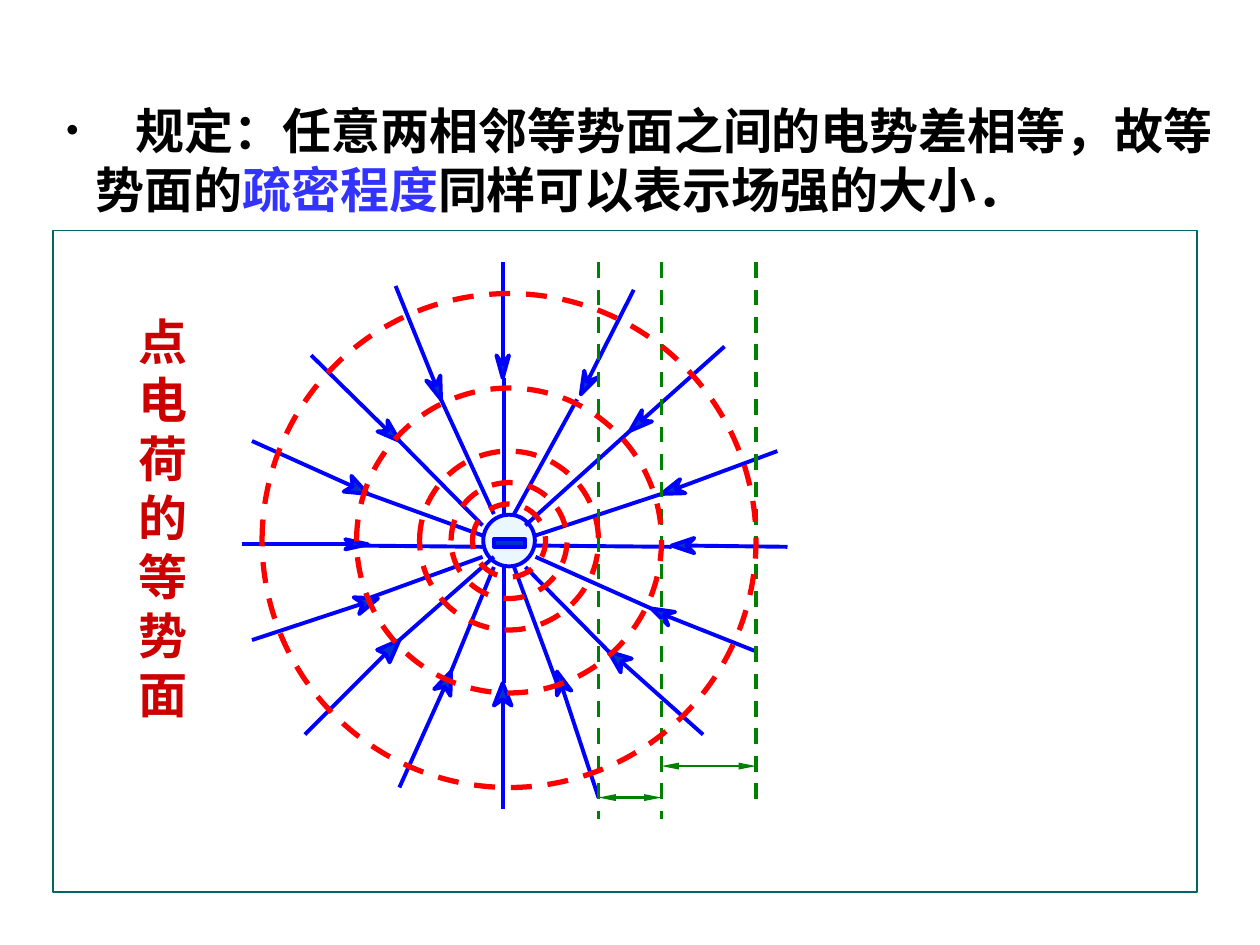
from dataclasses import dataclass
from math import hypot

from lxml.etree import SubElement
from pptx import Presentation
from pptx.dml.color import RGBColor
from pptx.enum.dml import MSO_LINE
from pptx.enum.shapes import MSO_CONNECTOR, MSO_SHAPE
from pptx.oxml.ns import qn
from pptx.util import Cm, Length, Pt

WHITE = RGBColor(255, 255, 255)
BLACK = RGBColor(0, 0, 0)
TEAL = RGBColor(0, 0x66, 0x66)
BLUE = RGBColor(0, 0, 255)
NAVY = RGBColor(0, 0x33, 0xCC)
PALE = RGBColor(0xEB, 0xF7, 0xFF)
GREEN = RGBColor(0, 0x80, 0)
RED = RGBColor(255, 0, 0)
DARK = RGBColor(0xCC, 0, 0)
VIOLET = RGBColor(0x33, 0x33, 0xFF)
HAN = "Noto Sans CJK SC"

Point = tuple[float, float]


@dataclass
class Ray:
    """A field line: tail to notch, arrowhead at tip, then root to core."""
    tail: Point
    notch: Point
    tip: Point
    root: Point
    core: Point
    half: float = 0.07


# Clockwise from the west, in inches
RAYS = [
    Ray((1.92, 4.32), (2.79, 4.32), (2.92, 4.32), (2.83, 4.33), (3.83, 4.34), 0.04),
    Ray((2, 3.5), (2.8, 3.86), (2.92, 3.92), (2.92, 3.92), (3.83, 4.25)),
    Ray((2.47, 2.82), (3.08, 3.42), (3.17, 3.5), (3.17, 3.5), (3.83, 4.17), 0.06),
    Ray((3.14, 2.27), (3.46, 3.06), (3.5, 3.17), (3.5, 3.17), (3.92, 4.08), 0.06),
    Ray((3.99, 2.08), (3.99, 2.89), (3.99, 3), (4, 3), (4, 4.08), 0.05),
    Ray((5.03, 2.3), (4.66, 3.03), (4.61, 3.13), (4.58, 3.17), (4.08, 4.08), 0.06),
    Ray((5.75, 2.75), (5.09, 3.34), (5, 3.42), (5, 3.42), (4.17, 4.17), 0.06),
    Ray((6.17, 3.58), (5.36, 3.88), (5.25, 3.92), (5.25, 3.92), (4.25, 4.25), 0.06),
    Ray((6.25, 4.34), (5.45, 4.33), (5.33, 4.33), (5.33, 4.34), (4.25, 4.33), 0.06),
    Ray((6, 5.17), (5.27, 4.88), (5.17, 4.83), (5.17, 4.83), (4.25, 4.42), 0.06),
    Ray((5.58, 5.83), (4.93, 5.25), (4.83, 5.17), (4.83, 5.17), (4.17, 4.5)),
    Ray((4.75, 6.33), (4.46, 5.45), (4.42, 5.33), (4.42, 5.42), (4.08, 4.5), 0.06),
    Ray((3.99, 6.42), (3.99, 5.55), (3.99, 5.42), (4, 5.42), (4, 4.5)),
    Ray((3.17, 6.25), (3.53, 5.45), (3.58, 5.33), (3.58, 5.33), (3.92, 4.5)),
    Ray((2.42, 5.83), (3.06, 5.19), (3.17, 5.08), (3.17, 5.08), (3.92, 4.42)),
    Ray((2, 5.08), (2.88, 4.79), (3, 4.75), (2.92, 4.75), (3.83, 4.42)),
]
MID = (4.04, 4.29)
RINGS = [1.21, 0.71, 0.46, 0.29, 1.96]
HEAD = 0.18


def cm(inch: float) -> Length:
    return Cm(inch * 2.54)


def style(item, line: RGBColor, width: float, fill: RGBColor | None = None) -> None:
    item.shadow.inherit = False
    item.line.color.rgb = line
    item.line.width = Pt(width)
    if fill is None:
        item.fill.background()
    else:
        item.fill.solid()
        item.fill.fore_color.rgb = fill


def shape(slide, kind, x: float, y: float, w: float, h: float):
    return slide.shapes.add_shape(kind, cm(x), cm(y), cm(w), cm(h))


def ring(slide, r: float):
    x, y = MID
    return shape(slide, MSO_SHAPE.OVAL, x - r, y - r, 2 * r, 2 * r)


def line(slide, start: Point, end: Point, color: RGBColor, width: float = 2.25):
    ends = [cm(v) for v in (*start, *end)]
    item = slide.shapes.add_connector(MSO_CONNECTOR.STRAIGHT, *ends)
    item.line.color.rgb = color
    item.line.width = Pt(width)
    SubElement(item._element.spPr, qn("a:effectLst"))
    return item


def span(slide, left: float, right: float, y: float) -> None:
    """Draw a double-headed measure between two guides."""
    item = line(slide, (left, y), (right, y), GREEN, 1.5)
    for tag in ("a:headEnd", "a:tailEnd"):
        SubElement(item.line._get_or_add_ln(), qn(tag), type="triangle", w="sm", len="lg")


def draw(slide, ray: Ray) -> None:
    line(slide, ray.tail, ray.notch, BLUE)
    line(slide, ray.root, ray.core, BLUE)
    # Barbs lie on either side of the shaft, behind the tip
    (tx, ty), (nx, ny) = ray.tip, ray.notch
    size = hypot(tx - nx, ty - ny)
    ux, uy = (tx - nx) / size, (ty - ny) / size
    bx, by = tx - HEAD * ux, ty - HEAD * uy
    dx, dy = -uy * ray.half, ux * ray.half
    first, *rest = [(cm(x), cm(y)) for x, y in
                    ((bx + dx, by + dy), ray.tip, (bx - dx, by - dy), ray.notch)]
    form = slide.shapes.build_freeform(*first)
    form.add_line_segments(rest, close=True)
    style(form.convert_to_shape(), BLUE, 2.25, NAVY)


def text(slide, x: float, y: float, w: float, h: float):
    frame = slide.shapes.add_textbox(cm(x), cm(y), cm(w), cm(h)).text_frame
    frame.word_wrap = True
    return frame.paragraphs[0]


def write(para, words: str, color: RGBColor, size: float = 28) -> None:
    run = para.add_run()
    run.text = words
    run.font.size = Pt(size)
    run.font.color.rgb = color
    SubElement(run.font._element, qn("a:ea"), typeface=HAN)


def main() -> None:
    deck = Presentation()
    deck.slide_width, deck.slide_height = cm(10), cm(7.5)
    slide = deck.slides.add_slide(deck.slide_layouts[6])

    # Frame
    style(shape(slide, MSO_SHAPE.RECTANGLE, 0.42, 1.83, 9.08, 5.25), TEAL, 0.75, WHITE)

    # Negative charge with its field lines
    style(ring(slide, 0.205), BLUE, 2.25, PALE)
    style(shape(slide, MSO_SHAPE.RECTANGLE, 3.92, 4.28, 0.25, 0.06), BLUE, 2.25, NAVY)
    for ray in RAYS:
        draw(slide, ray)

    # Guides and the gaps between them
    for x, foot in ((4.75, 6.5), (5.25, 6.5), (6, 6.42)):
        line(slide, (x, 2.08), (x, foot), GREEN).line.dash_style = MSO_LINE.DASH
    span(slide, 4.75, 5.25, 6.33)
    span(slide, 5.25, 6, 6.08)

    # Equipotential rings
    for r in RINGS:
        item = ring(slide, r)
        style(item, RED, 3)
        item.line.dash_style = MSO_LINE.DASH

    # Side label, one character to a line
    label = text(slide, 1, 2.42, 0.67, 3.37)
    label.font.name = "Times New Roman"
    label.font.bold = True
    write(label, "点电荷的等势面", DARK)

    # Rule statement
    rule = text(slide, 0.42, 0.75, 9.37, 1.03)
    props = rule._p.get_or_add_pPr()
    props.set("marL", str(cm(0.24)))
    props.set("indent", str(-cm(0.24)))
    SubElement(props, qn("a:buFont"), typeface="Times New Roman")
    SubElement(props, qn("a:buChar"), char="•")
    rule.font.name = HAN
    rule.font.bold = True
    write(rule, "　", BLACK, 23)
    write(rule, "规定：任意两相邻等势面之间的电势差相等，故等势面的", BLACK)
    write(rule, "疏密程度", VIOLET)
    write(rule, "同样可以表示场强的大小．", BLACK)

    deck.save("out.pptx")


if __name__ == "__main__":
    main()
